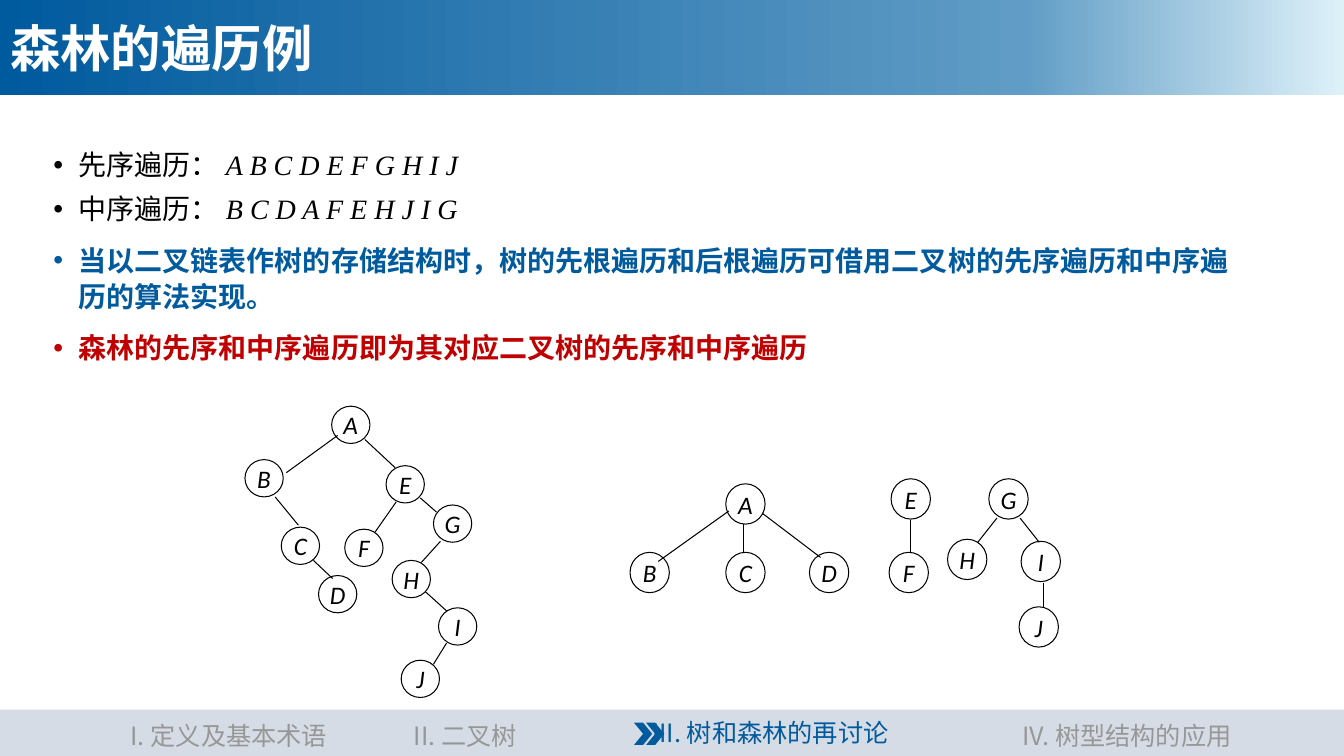
from copy import deepcopy
from dataclasses import dataclass
from typing import NamedTuple

from lxml.etree import SubElement
from pptx import Presentation
from pptx.dml.color import RGBColor
from pptx.enum.shapes import MSO_CONNECTOR as Conn, MSO_SHAPE as Shape
from pptx.enum.text import MSO_ANCHOR as Anchor, MSO_AUTO_SIZE as Auto, PP_ALIGN as Align
from pptx.oxml.ns import qn
from pptx.util import Inches, Pt

# The grid has square cells: 133.33 columns by 75 rows.
COLS, ROWS = 133.33, 75
CELL = Inches(0.1)
BLACK, WHITE, BLUE, RED = "000000", "FFFFFF", "005A9E", "C00000"
GREY, BAR = "979797", "D6DCE5"
SANS, SERIF, LATIN = "Noto Sans CJK SC", "Times New Roman", "Calibri"


class Box(NamedTuple):
    col: float
    row: float
    cols: float
    rows: float


class Edge(NamedTuple):
    col1: float
    row1: float
    col2: float
    row2: float


class Bullet(NamedTuple):
    text: str
    sequence: str = ""
    color: str = BLACK
    bold: bool = False
    spacing: float = 0.9


class Section(NamedTuple):
    text: str
    col: float
    cols: float


@dataclass
class Tree:
    node_cols: float
    node_rows: float
    nodes: dict[str, tuple[float, float]]
    edges: list[Edge]


BULLETS = [
    Bullet("先序遍历：", " A B C D E F G H I J"),
    Bullet("中序遍历：", " B C D A F E H J I G"),
    Bullet("当以二叉链表作树的存储结构时，树的先根遍历和后根遍历可借用二叉树的先序遍历和中序遍历的算法实现。",
           color=BLUE, bold=True, spacing=1.1),
    Bullet("森林的先序和中序遍历即为其对应二叉树的先序和中序遍历",
           color=RED, bold=True, spacing=1.1),
]
FOREST = Tree(
    3.9, 4,
    {"A": (72, 48), "B": (62.5, 54.8), "C": (72, 54.8), "D": (80.3, 54.8),
     "E": (88.4, 47.5), "F": (88.2, 54.8), "G": (98.1, 47.5),
     "H": (94, 53.5), "I": (101.3, 53.7), "J": (101.1, 60.2)},
    [Edge(73.8, 52, 73.8, 54.9), Edge(72.3, 50.7, 65.3, 55.7),
     Edge(75.6, 50.9, 81.4, 55.3), Edge(90.3, 51.6, 90.3, 54.9),
     Edge(98.9, 51.4, 97, 53.8), Edge(101.2, 51.4, 103.1, 53.8),
     Edge(103.5, 57.8, 103.5, 60.3)],
)
BINARY_TREE = Tree(
    3.8, 3.7,
    {"A": (32.9, 40.3), "B": (24.3, 45.6), "C": (27.9, 52.3), "D": (31.6, 57.1),
     "E": (38.3, 46.2), "F": (34.2, 52.5), "G": (43, 50.1),
     "H": (38.9, 55.6), "I": (43.5, 60.3), "J": (39.8, 65.5)},
    [Edge(27.3, 49.3, 29.6, 52.1), Edge(31.1, 55.6, 33, 57.4),
     Edge(39.3, 49.8, 37.2, 52.8), Edge(36.2, 43.6, 39.2, 46.4),
     Edge(41.7, 49.4, 43.3, 50.8), Edge(33.5, 43.2, 28.4, 46.9),
     Edge(43.7, 53.7, 41.8, 55.8), Edge(42.2, 58.7, 44.3, 60.6),
     Edge(44.3, 63.8, 43, 65.9)],
)
SECTIONS = [
    Section("I. 定义及基本术语", 4.3, 36.8),
    Section("II. 二叉树", 35, 22.3),
    Section("IV. 树型结构的应用", 99.6, 24.4),
]


def grid(*cells: float) -> list[int]:
    return [round(n * CELL) for n in cells]


def rgb(color: str) -> RGBColor:
    return RGBColor.from_string(color)


def style(r, size: float, color: str, font: str = SANS,
          bold: bool = False, italic: bool = False) -> None:
    f = r.font
    f.size, f.name, f.bold, f.italic = Pt(size), font, bold, italic
    f.color.rgb = rgb(color)
    SubElement(r._r.get_or_add_rPr(), qn("a:ea"), typeface=font)


def write(s, text: str, size: float, color: str, align=Align.CENTER, **font) -> None:
    s.text_frame.text = text
    p = s.text_frame.paragraphs[0]
    p.alignment = align
    style(p.runs[0], size, color, **font)


def place(s, box: Box) -> None:
    s.left, s.top, s.width, s.height = grid(*box)


def add_shape(shapes, kind, box: Box, fill: str = ""):
    """Add a preset shape: filled without a line, or outlined if no fill is given."""
    s = shapes.add_shape(kind, *grid(*box))
    s.shadow.inherit = False
    if fill:
        s.fill.solid()
        s.fill.fore_color.rgb = rgb(fill)
        s.line.fill.background()
    else:
        s.fill.background()
        s.line.color.rgb = rgb(BLACK)
        s.line.width = Pt(0.75)
    return s


def add_title(s) -> None:
    place(s, Box(0, 0, COLS, 9.4))
    s.fill.gradient()
    s.fill.gradient_angle = 0
    stops = s._element.spPr.find(qn("a:gradFill")).find(qn("a:gsLst"))
    stops.append(deepcopy(stops[-1]))
    for stop, (share, color) in zip(
            s.fill.gradient_stops, [(0, BLUE), (0.76, "609CC5"), (1, "DEF1F9")]):
        stop.position = share
        stop.color.rgb = rgb(color)
    write(s, "森林的遍历例", 36, WHITE, Align.LEFT, bold=True)
    s.text_frame.auto_size = Auto.NONE
    s.text_frame.vertical_anchor = Anchor.MIDDLE


def add_body(s) -> None:
    place(s, Box(4.3, 14.5, 119.9, 53.1))
    tf = s.text_frame
    tf.auto_size = Auto.NONE
    tf.text = "\n".join(b.text for b in BULLETS)
    for i, (p, b) in enumerate(zip(tf.paragraphs, BULLETS)):
        pPr = p._p.get_or_add_pPr()
        pPr.set("marL", str(Inches(0.25)))
        pPr.set("indent", str(-Inches(0.25)))
        SubElement(pPr, qn("a:buFont"), typeface="Arial")
        SubElement(pPr, qn("a:buChar"), char="•")
        p.line_spacing = b.spacing
        p.space_before = Pt(10 if i else 0)
        style(p.runs[0], 20, b.color, bold=b.bold)
        if b.sequence:
            r = p.add_run()
            r.text = b.sequence
            style(r, 20, b.color, SERIF, italic=True)


def add_tree(shapes, tree: Tree) -> None:
    group = shapes.add_group_shape().shapes
    for letter, (col, row) in tree.nodes.items():
        s = add_shape(group, Shape.OVAL, Box(col, row, tree.node_cols, tree.node_rows))
        write(s, letter, 18, BLACK, font=LATIN, italic=True)
        s.text_frame.word_wrap = False
        s.text_frame.vertical_anchor = Anchor.MIDDLE
    for edge in tree.edges:
        line = group.add_connector(Conn.STRAIGHT, *grid(*edge))
        line.line.color.rgb = rgb(BLACK)
        line.line.width = Pt(0.75)
        SubElement(line._element.spPr, qn("a:effectLst"))


def add_footer(shapes) -> None:
    group = shapes.add_group_shape().shapes
    bar = add_shape(group, Shape.RECTANGLE, Box(0, 70.4, COLS, 4.6), BAR)
    write(bar, "III. 树和森林的再讨论", 18, BLUE)
    bar.text_frame.margin_left = Inches(2.05)
    bar.text_frame.vertical_anchor = Anchor.MIDDLE
    for section in SECTIONS:
        s = group.add_textbox(*grid(section.col, 71, section.cols, 4))
        s.text_frame.word_wrap = True
        write(s, section.text, 18, GREY)
    for col in (64.1, 62.9):
        add_shape(group, Shape.CHEVRON, Box(col, 71.7, 1.8, 2.2), BLUE)


def main() -> None:
    prs = Presentation()
    prs.slide_width, prs.slide_height = grid(COLS, ROWS)
    slide = prs.slides.add_slide(prs.slide_layouts[1])
    add_title(slide.shapes.title)
    add_body(slide.placeholders[1])
    for tree in (FOREST, BINARY_TREE):
        add_tree(slide.shapes, tree)
    add_footer(slide.shapes)
    prs.save("out.pptx")


if __name__ == "__main__":
    main()
